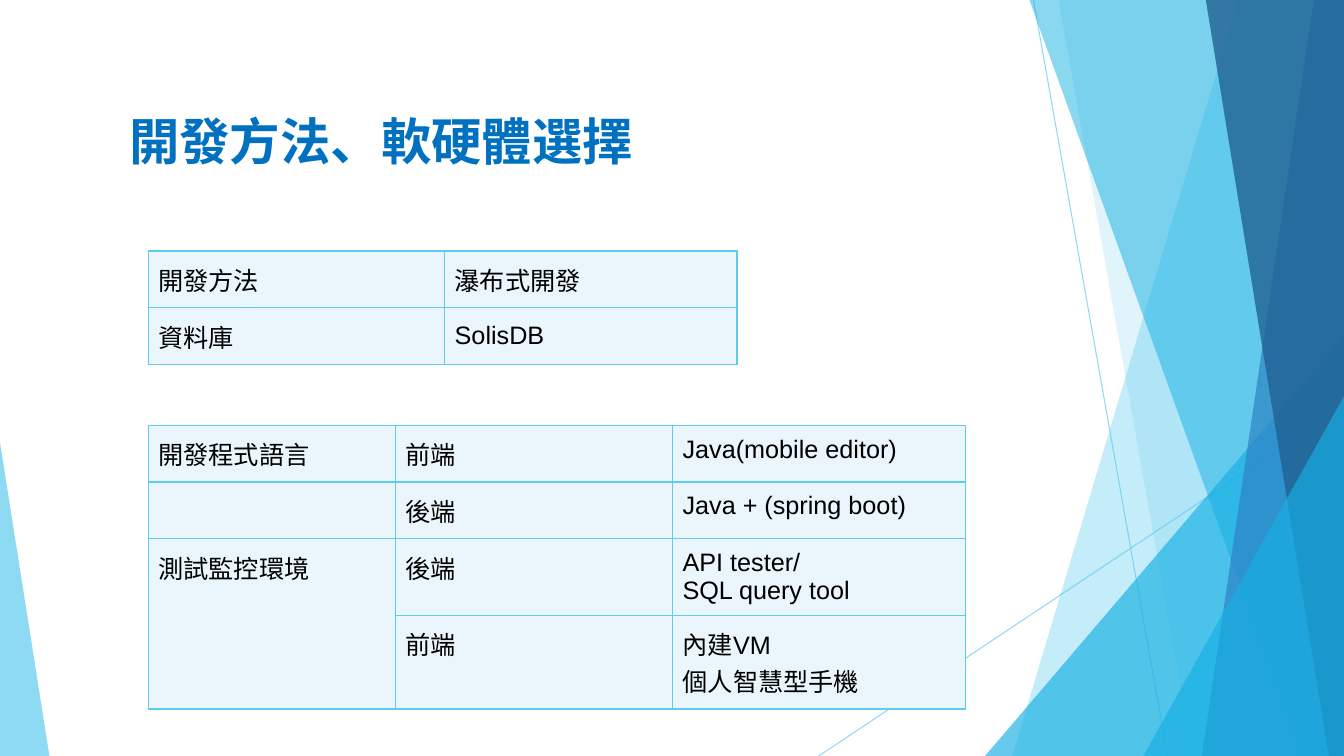
import pptx
import pptx.util
import pptx.dml.color
import pptx.enum.shapes
import pptx.enum.text
import pptx.oxml
import pptx.oxml.ns

Inches, Pt = pptx.util.Inches, pptx.util.Pt
qn = pptx.oxml.ns.qn
RGB = pptx.dml.color.RGBColor.from_string
KIND = pptx.enum.shapes.MSO_SHAPE
ANCHOR = pptx.enum.text.MSO_ANCHOR

THEME = dict(sky="5FCBEF", aqua="16B0E3", blue="2E83C3", navy="226292",
             head="0070C0", ink="000000", cell="EAF6FC",
             latin="Arial", cjk="Noto Sans CJK SC", big=36, body=18)
WIDE, HIGH = 13.33, 7.5

TITLE = "開發方法、軟硬體選擇"
TABLES = [
    dict(at=(1.47, 4.22), cols=(2.45, 2.75, 2.91), rows=(0.56, 0.56, 0.76, 0.93),
         anchor=ANCHOR.TOP, merge=((2, 0), (3, 0)),
         cells=[("開發程式語言", "前端", "Java(mobile editor)"),
                ("", "後端", "Java + (spring boot)"),
                ("測試監控環境", "後端", "API tester/\nSQL query tool"),
                ("", "前端", "內建VM\n個人智慧型手機")]),
    dict(at=(1.47, 2.49), cols=(2.94, 2.9), rows=(0.56, 0.56),
         anchor=ANCHOR.MIDDLE, merge=None,
         cells=[("開發方法", "瀑布式開發"), ("資料庫", "SolisDB")]),
]
RAYS = [((10.25, 0), (11.58, HIGH)), ((WIDE, 4.03), (8.12, HIGH))]
BANDS = [
    ("band", (12.28, 10.04), "sky", 36),
    ("band", (10.5, 11.83), "sky", 20),
    ("peak", (9.77, 3.33, 3.56, 1), "aqua", 66),
    ("band", (10.21, 12.91), "aqua", 50),
    ("band", (13.03, 11.92), "blue", 70),
    ("band", (11.96, 13.18), "navy", 80),
    ("peak", (11.34, 3.93, 1.99, 1), "aqua", 66),
    ("peak", (0, 4.39, 0.49, 0), "sky", 70),
]


def fade(node, pct):
    for tint in node.iter(qn("a:srgbClr")):
        tint.append(pptx.oxml.parse_xml(
            f'<a:alpha {pptx.oxml.ns.nsdecls("a")} val="{pct * 1000}"/>'))


def style(frame, size, color, latin, bold=False):
    for para in frame.paragraphs:
        for run in para.runs:
            font = run.font
            font.size, font.bold, font.name = Pt(size), bold, latin
            font.color.rgb = RGB(THEME[color])
            east = pptx.oxml.parse_xml(
                f'<a:ea {pptx.oxml.ns.nsdecls("a")} typeface="{THEME["cjk"]}"/>')
            font._element.find(qn("a:latin")).addnext(east)


def draw_ray(start, end):
    ray = slide.shapes.add_connector(
        pptx.enum.shapes.MSO_CONNECTOR.STRAIGHT, *map(Inches, start + end))
    ray.line.color.rgb = RGB(THEME["sky"])
    ray.line.width = Pt(0.75)
    props = ray._element.spPr
    fade(props, 70)
    props.append(props.makeelement(qn("a:effectLst"), {}))


def draw_band(kind, dims, color, pct):
    if kind == "band":
        top, base = dims
        pen = slide.shapes.build_freeform(Inches(top), 0)
        pen.add_line_segments([(Inches(x), Inches(y)) for x, y in
                               ((WIDE, 0), (WIDE, HIGH), (base, HIGH))])
        shape = pen.convert_to_shape()
    else:
        left, top, width, tip = dims
        shape = slide.shapes.add_shape(
            KIND.ISOSCELES_TRIANGLE, *map(Inches, (left, top, width, HIGH - top)))
        shape.adjustments[0] = tip
    shape.shadow.inherit = False
    shape.line.fill.background()
    shape.fill.solid()
    shape.fill.fore_color.rgb = RGB(THEME[color])
    fade(shape._element.spPr, pct)


def edge(cell):
    props = cell._tc.get_or_add_tcPr()
    for side in "LRTB":
        props.append(pptx.oxml.parse_xml(
            f'<a:ln{side} {pptx.oxml.ns.nsdecls("a")} w="12700"><a:solidFill>'
            f'<a:srgbClr val="{THEME["sky"]}"/></a:solidFill></a:ln{side}>'))


def draw_table(data):
    cols, rows = data["cols"], data["rows"]
    size = data["at"] + (sum(cols), sum(rows))
    grid = slide.shapes.add_table(len(rows), len(cols), *map(Inches, size)).table
    grid.first_row = grid.horz_banding = False
    for col, width in zip(grid.columns, cols):
        col.width = Inches(width)
    for row, height, texts in zip(grid.rows, rows, data["cells"]):
        row.height = Inches(height)
        for cell, text in zip(row.cells, texts):
            cell.text_frame.text = text
            cell.vertical_anchor = data["anchor"]
            cell.margin_left = cell.margin_right = Inches(0.1)
            cell.margin_top = cell.margin_bottom = Inches(0.1)
            edge(cell)
            cell.fill.solid()
            cell.fill.fore_color.rgb = RGB(THEME["cell"])
            style(cell.text_frame, THEME["body"], "ink", THEME["latin"])
    if data["merge"]:
        first, last = data["merge"]
        grid.cell(*first).merge(grid.cell(*last))


deck = pptx.Presentation()
deck.slide_width, deck.slide_height = Inches(WIDE), Inches(HIGH)
slide = deck.slides.add_slide(deck.slide_layouts[5])

for ray in RAYS:
    draw_ray(*ray)
for band in BANDS:
    draw_band(*band)

title = slide.shapes.title
title.left, title.top, title.width, title.height = map(Inches, (1.18, 0.67, 9.4, 1.44))
frame = title.text_frame
frame.text = TITLE
frame.vertical_anchor = ANCHOR.MIDDLE
frame.paragraphs[0].alignment = pptx.enum.text.PP_ALIGN.LEFT
style(frame, THEME["big"], "head", THEME["cjk"], True)

for data in TABLES:
    draw_table(data)

deck.save("out.pptx")
